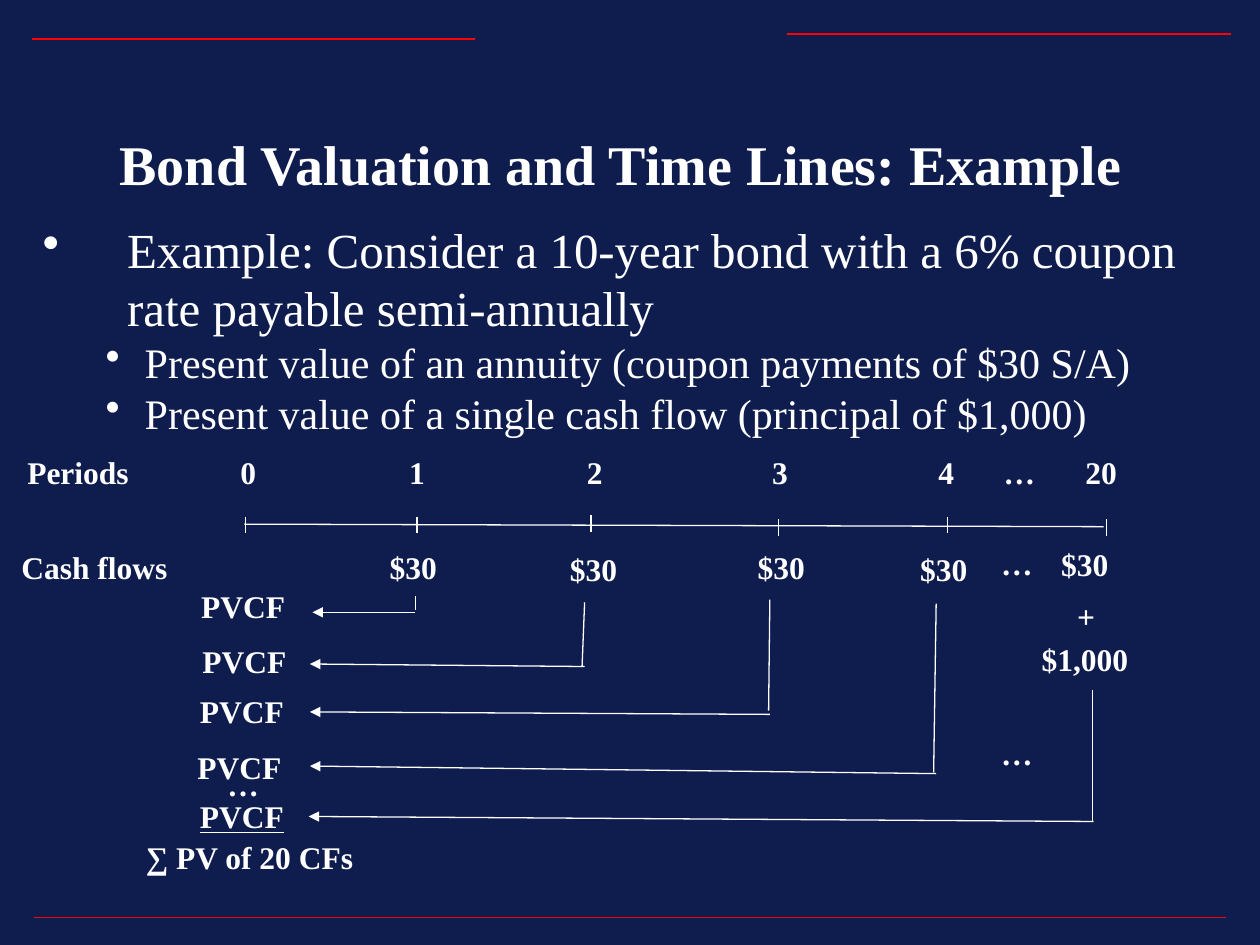
from lxml import etree
from pptx import Presentation, util as u
from pptx.dml.color import RGBColor
from pptx.enum import shapes, text as t
from pptx.oxml import ns

NAVY = RGBColor(0x0F, 0x1D, 0x4E)
WHITE = RGBColor(0xFF, 0xFF, 0xFF)
RED = RGBColor(0xFF, 0x00, 0x00)
TITLE_ONLY = 5
LABEL_HEIGHT = 0.4
LABEL_WIDTHS = {
    "Periods": 1, "Cash flows": 1.36, "$30": 0.57, "$1,000": 0.89, "+": 0.34,
    "…": 0.45, "20": 0.45, "PVCF": 0.86, "∑ PV of 20 CFs": 1.85,
}
DIGIT_WIDTH = 0.32


def write(paragraph, words, size=18, bold=True, underline=False, align=t.PP_ALIGN.CENTER,
          color=WHITE, font="Times New Roman"):
    paragraph.alignment = align
    run = paragraph.add_run()
    run.text = words
    run.font.name = font
    run.font.size = u.Pt(size)
    run.font.bold = bold
    run.font.underline = underline
    run.font.color.rgb = color


def add_bullet(paragraph, margin, hanging):
    properties = paragraph._p.get_or_add_pPr()
    properties.set("marL", str(u.Inches(margin)))
    properties.set("indent", str(-u.Inches(hanging)))
    color = etree.SubElement(properties, ns.qn("a:buClr"))
    etree.SubElement(color, ns.qn("a:srgbClr"), val=str(WHITE))
    etree.SubElement(properties, ns.qn("a:buChar"), char="•")


class SlideBuilder:
    def __init__(self, presentation):
        self.slide = presentation.slides.add_slide(presentation.slide_layouts[TITLE_ONLY])
        self.slide.background.fill.solid()
        self.slide.background.fill.fore_color.rgb = NAVY

    def title(self, words, left, top, width, height):
        shape = self.slide.shapes.title
        shape.left, shape.top = u.Inches(left), u.Inches(top)
        shape.width, shape.height = u.Inches(width), u.Inches(height)
        shape.text_frame.auto_size = t.MSO_AUTO_SIZE.NONE
        shape.text_frame.vertical_anchor = t.MSO_ANCHOR.TOP
        write(shape.text_frame.paragraphs[0], words, size=32)

    def text_box(self, left, top, width, height, wrap=True):
        box = self.slide.shapes.add_textbox(*map(u.Inches, (left, top, width, height)))
        box.text_frame.word_wrap = wrap
        return box.text_frame

    def bullets(self, items, left, top, width, height):
        frame = self.text_box(left, top, width, height)
        for index, (words, size, level, margin, hanging) in enumerate(items):
            paragraph = frame.add_paragraph() if index else frame.paragraphs[0]
            paragraph.level = level
            write(paragraph, words, size=size, bold=False, align=t.PP_ALIGN.LEFT)
            add_bullet(paragraph, margin, hanging)

    def label(self, words, center, top, **style):
        width = LABEL_WIDTHS.get(words, DIGIT_WIDTH)
        frame = self.text_box(center - width / 2, top, width, LABEL_HEIGHT, wrap=False)
        frame.margin_left = frame.margin_right = 0
        write(frame.paragraphs[0], words, **style)

    def line(self, start, end, color=WHITE, arrow=False):
        connector = self.slide.shapes.add_connector(
            shapes.MSO_CONNECTOR.STRAIGHT, *map(u.Inches, (*start, *end)))
        connector.line.color.rgb = color
        connector.line.width = u.Pt(0.75)
        if arrow:
            etree.SubElement(connector.line._get_or_add_ln(), ns.qn("a:tailEnd"), type="triangle")
        etree.SubElement(connector._element.spPr, ns.qn("a:effectLst"))


def add_time_line(builder):
    builder.label("Periods", 0.62, 3.55)
    builder.label("Cash flows", 0.75, 4.3)
    builder.line((1.94, 4.16), (8.76, 4.18))
    # period, label centre, tick x, tick top, cash flow centre, cash flow top
    periods = [
        ("0", 1.97, 1.95, 4.1, None, None),
        ("1", 3.31, 3.31, 4.1, 3.28, 4.3),
        ("2", 4.72, 4.69, 4.09, 4.71, 4.32),
        ("3", 6.19, 6.18, 4.12, 6.2, 4.3),
        ("4", 7.51, 7.52, 4.1, 7.49, 4.32),
        ("20", 8.74, 8.78, 4.12, 8.61, 4.28),
    ]
    for period, center, tick, tick_top, flow_center, flow_top in periods:
        builder.label(period, center, 3.55)
        builder.line((tick, tick_top), (tick, tick_top + 0.13))
        if flow_center:
            builder.label("$30", flow_center, flow_top)
    builder.label("+", 8.62, 4.69)
    builder.label("$1,000", 8.61, 5.03)


def add_discounting(builder):
    # drop start, drop end, arrow start, arrow end, PVCF centre, PVCF top
    paths = [
        ((3.3, 4.73), (3.3, 4.84), (3.29, 4.86), (2.48, 4.86), 1.93, 4.61),
        ((4.64, 4.78), (4.62, 5.29), (4.64, 5.29), (2.46, 5.27), 1.94, 5.05),
        ((6.11, 4.76), (6.1, 5.64), (6.11, 5.67), (2.46, 5.65), 1.92, 5.44),
        ((7.43, 4.79), (7.41, 6.13), (7.43, 6.14), (2.46, 6.08), 1.9, 5.89),
        ((8.67, 5.48), (8.67, 6.52), (8.68, 6.52), (2.45, 6.48), 1.92, 6.28),
    ]
    for path in paths:
        drop_start, drop_end, arrow_start, arrow_end, center, top = path
        builder.line(drop_start, drop_end)
        builder.line(arrow_start, arrow_end, arrow=True)
        builder.label("PVCF", center, top, underline=path is paths[-1])
    builder.label("∑ PV of 20 CFs", 1.98, 6.6)


def main():
    presentation = Presentation()
    presentation.slide_width, presentation.slide_height = u.Inches(10), u.Inches(7.5)
    builder = SlideBuilder(presentation)
    for left, right, y in [(0.25, 3.77, 0.31), (6.25, 9.77, 0.27), (0.27, 9.73, 7.28)]:
        builder.line((right, y), (left, y), color=RED)
    builder.title("Bond Valuation and Time Lines: Example ", 0.28, 0.98, 9.41, 0.64)
    builder.bullets([
        ("Example: Consider a 10-year bond with a 6% coupon rate payable semi-annually",
         28, 0, 0.67, 0.67),
        ("Present value of an annuity (coupon payments of $30 S/A)", 24, 1, 0.81, 0.31),
        ("Present value of a single cash flow (principal of $1,000)", 24, 1, 0.81, 0.31),
    ], 0.24, 1.69, 9.55, 1.84)
    add_time_line(builder)
    add_discounting(builder)
    for center, top in [(8.09, 3.55), (8.07, 4.27), (8.07, 5.78), (1.93, 6.02)]:
        builder.label("…", center, top)
    presentation.save("out.pptx")


if __name__ == "__main__":
    main()
